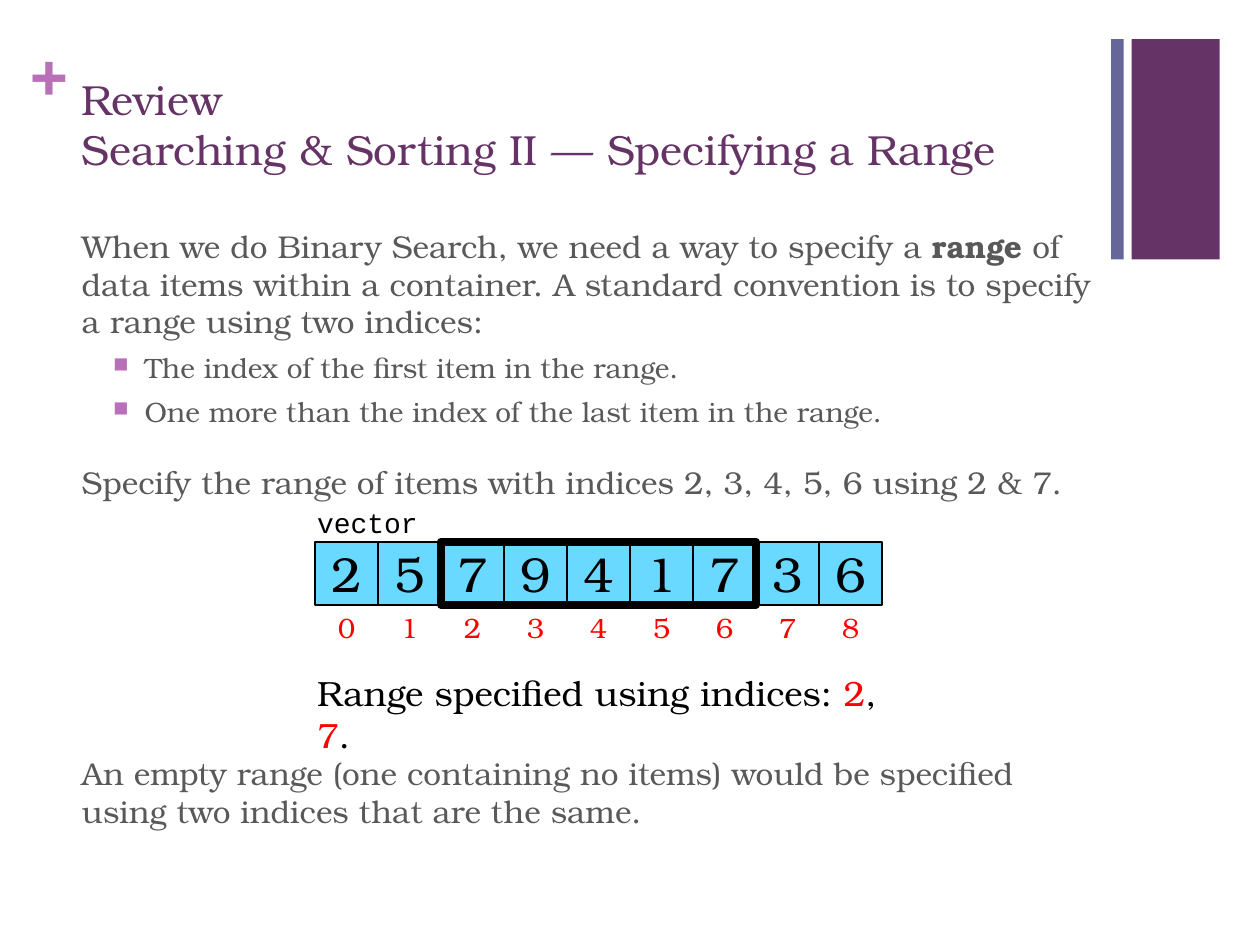
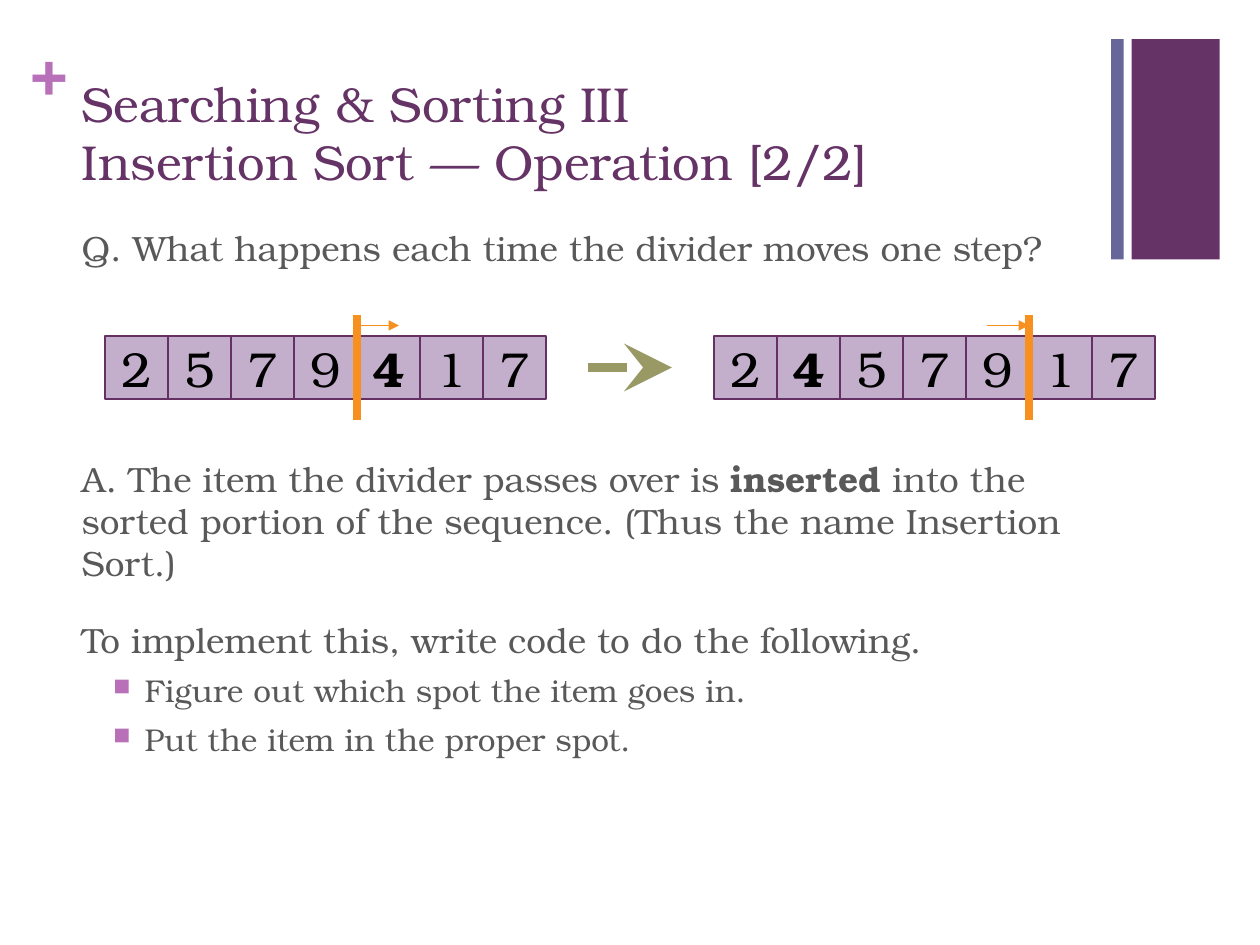
import pptx
import pptx.dml.color
import pptx.enum.shapes
import pptx.enum.text
import pptx.oxml.ns
import pptx.util
from lxml import etree

Pt = pptx.util.Pt
RGBColor = pptx.dml.color.RGBColor
MSO_SHAPE = pptx.enum.shapes.MSO_SHAPE
PP_ALIGN = pptx.enum.text.PP_ALIGN
qn = pptx.oxml.ns.qn

PLUM = RGBColor(0x66, 0x33, 0x66)
SLATE = RGBColor(0x66, 0x66, 0x99)
ORCHID = RGBColor(0xB8, 0x70, 0xB8)
GREY = RGBColor(0x59, 0x59, 0x59)
BLACK = RGBColor(0, 0, 0)
RED = RGBColor(0xFF, 0, 0)
SKY = RGBColor(0x6A, 0xD9, 0xFF)
LILAC = RGBColor(0xC3, 0xAF, 0xCC)
CELL_EDGE = RGBColor(0x65, 0x31, 0x65)
ORANGE = RGBColor(0xF7, 0x90, 0x1E)
OLIVE = RGBColor(0x99, 0x99, 0x66)
SERIF = "TeX Gyre Bonum"
MONO = "Courier New"

SLIDE_SIZE = (720, 540)
BANDS = [((646.6, 22.3, 50.4, 126), PLUM), ((635, 22.3, 7.2, 126), SLATE)]
PLUS_BOX = (17.3, 18, 20.9, 43.9)
TITLE_BOX = (39.6, 38.2, 594.7, 75.6)
BODY_LEFT, BODY_TOP, BODY_WIDTH = 39.6, 126, 594.7
CELL = 36

# A paragraph is (level, runs); a run is a string or (string, changed formats).
BOLD = {"bold": True}
IN_RED = {"color": RED}

RANGE_TITLE = "Review\vSearching & Sorting II — Specifying a Range"
RANGE_INTRO = [
    (0, ["When we do Binary Search, we need a way to specify a ", ("range", BOLD),
         " of data items within a container. A standard convention is to specify"
         " a range using two indices:"]),
    (1, ["The index of the first item in the range."]),
    (1, ["One more than the index of the last item in the range."]),
    (0, ["Specify the range of items with indices 2, 3, 4, 5, 6 using 2 & 7."]),
]
EMPTY_RANGE = [
    (0, ["An empty range (one containing no items) would be specified using two"
         " indices that are the same."]),
]
RANGE_CAPTION = [
    (0, ["Range specified using indices: ", ("2", IN_RED), ", ", ("7", IN_RED), "."]),
]
VECTOR = [2, 5, 7, 9, 4, 1, 7, 3, 6]
RANGE_FIRST, RANGE_END = 2, 7

SORT_TITLE = "Searching & Sorting III\vInsertion Sort — Operation [2/2]"
SORT_QUESTION = [(0, ["Q. What happens each time the divider moves one step?"])]
SORT_ANSWER = [
    (0, ["A. The item the divider passes over is ", ("inserted", BOLD),
         " into the sorted portion of the sequence. (Thus the name Insertion Sort.)"]),
    (0, ["To implement this, write code to do the following."]),
    (1, ["Figure out which spot the item goes in."]),
    (1, ["Put the item in the proper spot."]),
]
# left, values, position of the moved item, divider position, arrow start
SORT_STEPS = [
    (60, [2, 5, 7, 9, 4, 1, 7], 4, 4, 204),
    (408, [2, 4, 5, 7, 9, 1, 7], 1, 5, 564),
]
SORT_ROW_TOP = 192


def set_font(font, formats):
    for name, value in formats.items():
        if name == "color":
            font.color.rgb = value
        else:
            setattr(font, name, value)


def add_bullet(paragraph):
    properties = paragraph._p.get_or_add_pPr()
    properties.set("marL", str(Pt(36)))
    properties.set("indent", str(Pt(-18)))
    color = etree.SubElement(properties, qn("a:buClr"))
    etree.SubElement(color, qn("a:srgbClr")).set("val", str(ORCHID))
    etree.SubElement(properties, qn("a:buSzPct")).set("val", "75000")
    etree.SubElement(properties, qn("a:buChar")).set("char", "■")


def write(frame, paragraphs, size, color, name=SERIF, align=PP_ALIGN.LEFT, bold=False):
    """Fill a text frame; level 1 paragraphs are bulleted and 2 pt smaller."""
    for index, (level, runs) in enumerate(paragraphs):
        paragraph = frame.add_paragraph() if index else frame.paragraphs[0]
        paragraph.alignment = align
        if index:
            paragraph.space_before = Pt(6 if level else 20)
        if level:
            add_bullet(paragraph)
        base = {"name": name, "size": Pt(size - 2 * level), "color": color, "bold": bold}
        for item in runs:
            text, changes = (item, {}) if isinstance(item, str) else item
            for number, line in enumerate(text.split("\v")):
                if number:
                    paragraph.add_line_break()
                run = paragraph.add_run()
                run.text = line
                set_font(run.font, {**base, **changes})


def add_text(slide, box, paragraphs, size, color, wrap=True, inset=True, **formats):
    frame = slide.shapes.add_textbox(*map(Pt, box)).text_frame
    frame.word_wrap = wrap
    if not inset:
        for side in ("left", "top", "right", "bottom"):
            setattr(frame, "margin_" + side, 0)
    write(frame, paragraphs, size, color, **formats)


def add_body(slide, top, height, paragraphs, size):
    add_text(slide, (BODY_LEFT, top, BODY_WIDTH, height), paragraphs, size, GREY)


def add_box(slide, box, fill=None, line=None, weight=1):
    shape = slide.shapes.add_shape(MSO_SHAPE.RECTANGLE, *map(Pt, box))
    shape.shadow.inherit = False
    if fill is None:
        shape.fill.background()
    else:
        shape.fill.solid()
        shape.fill.fore_color.rgb = fill
    if line is None:
        shape.line.fill.background()
    else:
        shape.line.color.rgb = line
        shape.line.width = Pt(weight)
    return shape


def add_line(slide, start, end, color, weight, head=None, head_size="med"):
    connector = slide.shapes.add_connector(
        pptx.enum.shapes.MSO_CONNECTOR.STRAIGHT, *map(Pt, start + end))
    connector.line.color.rgb = color
    connector.line.width = Pt(weight)
    if head:
        tail = etree.SubElement(connector.line._get_or_add_ln(), qn("a:tailEnd"))
        for key, value in {"type": head, "w": head_size, "len": head_size}.items():
            tail.set(key, value)
    etree.SubElement(connector._element.spPr, qn("a:effectLst"))


def add_cells(slide, left, top, values, fill, edge, bold_index=None):
    for index, value in enumerate(values):
        cell = add_box(slide, (left + index * CELL, top, CELL, CELL), fill, edge)
        cell.text_frame.vertical_anchor = pptx.enum.text.MSO_ANCHOR.MIDDLE
        write(cell.text_frame, [(0, [str(value)])], 28, BLACK,
              align=PP_ALIGN.CENTER, bold=index == bold_index)


def add_slide(presentation, title, title_size):
    """Add a blank slide with the shared bands, plus sign and title."""
    slide = presentation.slides.add_slide(presentation.slide_layouts[6])
    for box, color in BANDS:
        add_box(slide, box, color)
    add_text(slide, PLUS_BOX, [(0, ["+"])], 36, ORCHID, wrap=False, inset=False, bold=True)
    add_text(slide, TITLE_BOX, [(0, [title])], title_size, PLUM)
    return slide


def build_range_slide(presentation):
    slide = add_slide(presentation, RANGE_TITLE, 24)
    add_body(slide, BODY_TOP, 165, RANGE_INTRO, 18)
    add_body(slide, 427.6, 52, EMPTY_RANGE, 18)
    left, top = 180, 309.6
    add_cells(slide, left, top, VECTOR, SKY, BLACK)
    for index in range(len(VECTOR)):
        add_text(slide, (left + index * CELL, top + CELL, CELL, 26.6),
                 [(0, [str(index)])], 16, RED, align=PP_ALIGN.CENTER)
    add_box(slide, (left + RANGE_FIRST * CELL, top, (RANGE_END - RANGE_FIRST) * CELL, CELL),
            line=BLACK, weight=4.5)
    add_text(slide, (174.2, 380.2, 342, 31.7), RANGE_CAPTION, 20, BLACK)
    add_text(slide, (174.2, 285.1, 180, 26.6), [(0, ["vector"])], 16, BLACK, name=MONO)


def build_sort_slide(presentation):
    slide = add_slide(presentation, SORT_TITLE, 28)
    add_body(slide, BODY_TOP, 32, SORT_QUESTION, 20)
    add_body(slide, 258, 190, SORT_ANSWER, 20)
    top = SORT_ROW_TOP
    for left, values, moved, divider, arrow_start in SORT_STEPS:
        add_cells(slide, left, top, values, LILAC, CELL_EDGE, moved)
        divider_x = left + divider * CELL
        add_line(slide, (divider_x, top - 12), (divider_x, top + CELL + 12), ORANGE, 4.5)
        add_line(slide, (arrow_start, top - 6), (arrow_start + 24, top - 6),
                 ORANGE, 1, "triangle")
    middle = top + CELL / 2
    add_line(slide, (336, middle), (384, middle), OLIVE, 5.5, "stealth", "lg")


def main():
    presentation = pptx.Presentation()
    presentation.slide_width, presentation.slide_height = map(Pt, SLIDE_SIZE)
    build_range_slide(presentation)
    build_sort_slide(presentation)
    presentation.save("out.pptx")


if __name__ == "__main__":
    main()
